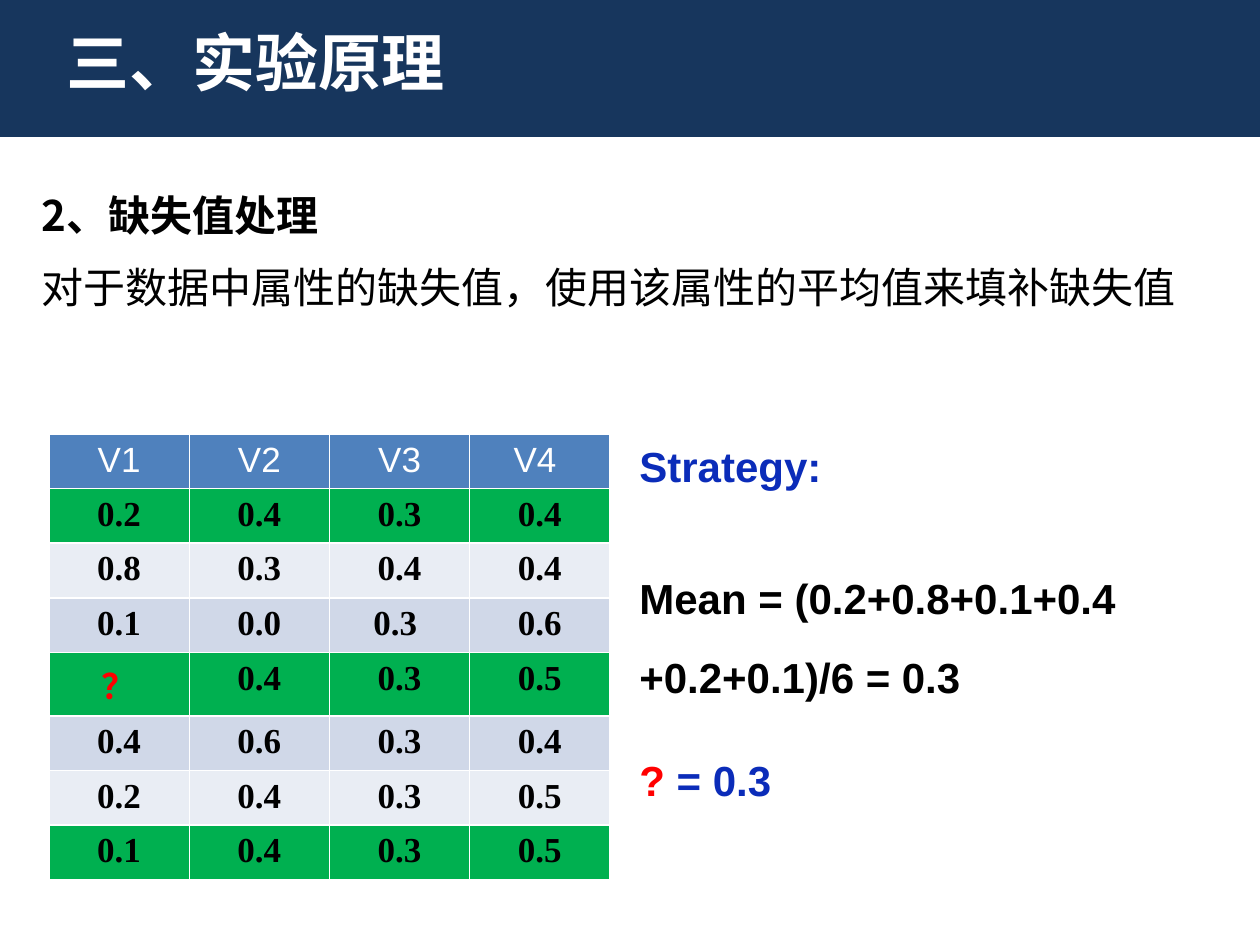
"""Build the slide on filling missing values with the attribute mean."""
from lxml.etree import SubElement
from pptx import Presentation
from pptx.dml.color import RGBColor
from pptx.enum.shapes import MSO_SHAPE
from pptx.enum.text import MSO_ANCHOR, MSO_AUTO_SIZE, PP_ALIGN
from pptx.oxml.ns import qn
from pptx.util import Emu, Pt

SCALE = 914400 / 126
CJK_FONT = "Noto Sans CJK SC"


def place(shape, *box):
    shape.left, shape.top, shape.width, shape.height = (Emu(round(length * SCALE)) for length in box)


def style(paragraph, name, size, color, bold):
    font = paragraph.font
    font.name, font.size, font.bold = name, Pt(size), bold
    font.color.rgb = RGBColor.from_string(color)
    properties = paragraph._p.pPr.find(qn("a:defRPr"))
    SubElement(properties, qn("a:ea")).set("typeface", CJK_FONT)


presentation = Presentation()
presentation.slide_width = Emu(round(1260 * SCALE))
presentation.slide_height = Emu(round(945 * SCALE))
slide = presentation.slides.add_slide(presentation.slide_layouts[1])
title, body = slide.placeholders

banner = slide.shapes.add_shape(MSO_SHAPE.RECTANGLE, 0, 0, 0, 0)
place(banner, 0, 0, 1260, 137)
banner.shadow.inherit = False
banner.fill.solid()
banner.fill.fore_color.rgb = RGBColor.from_string("17365D")
banner.line.fill.background()
title._element.addprevious(banner._element)

place(title, 54, 26, 1134, 117)
title.text_frame.text = "三、实验原理"
title.text_frame.vertical_anchor = MSO_ANCHOR.TOP
title.text_frame.auto_size = MSO_AUTO_SIZE.NONE
heading = title.text_frame.paragraphs[0]
heading.alignment = PP_ALIGN.LEFT
heading.line_spacing = 0.9
style(heading, CJK_FONT, 36, "FFFFFF", True)

place(body, 29, 171, 1196, 725)
body.text_frame.text = "2、缺失值处理\n对于数据中属性的缺失值，使用该属性的平均值来填补缺失值"
body.text_frame.auto_size = MSO_AUTO_SIZE.NONE
for paragraph, bold, space in zip(body.text_frame.paragraphs, (True, False), (0, 5)):
    paragraph.line_spacing = 1.25
    paragraph.space_before = Pt(space)
    properties = paragraph._p.get_or_add_pPr()
    properties.set("marL", "0")
    properties.set("indent", "0")
    SubElement(properties, qn("a:buNone"))
    style(paragraph, CJK_FONT, 24, "000000", bold)

rows = [
    ("4F81BD", ["V1", "V2", "V3", "V4 "]),
    ("00B050", ["0.2", "0.4", "0.3", "0.4"]),
    ("E9EDF4", ["0.8", "0.3", "0.4", "0.4"]),
    ("D0D8E8", ["0.1", "0.0", "0.3 ", "0.6"]),
    ("00B050", ["？", "0.4", "0.3", "0.5"]),
    ("D0D8E8", ["0.4", "0.6", "0.3", "0.4"]),
    ("E9EDF4", ["0.2", "0.4", "0.3", "0.5"]),
    ("00B050", ["0.1", "0.4", "0.3", "0.5"]),
]
left, top, width, height = (Emu(round(length * SCALE)) for length in (49, 434, 561, 437))
table = slide.shapes.add_table(len(rows), 4, left, top, width, height).table
for row_index, (fill, values) in enumerate(rows):
    for column_index, value in enumerate(values):
        cell = table.cell(row_index, column_index)
        cell.fill.solid()
        cell.fill.fore_color.rgb = RGBColor.from_string(fill)
        cell.text = value
        paragraph = cell.text_frame.paragraphs[0]
        paragraph.alignment = PP_ALIGN.CENTER
        if row_index == 0:
            style(paragraph, "Arial", 20, "FFFFFF", False)
        else:
            style(paragraph, "Times New Roman", 20, "FF0000" if value == "？" else "000000", True)

strategy = slide.shapes.add_textbox(0, 0, 0, 0)
place(strategy, 627, 434, 591, 369)
strategy.text_frame.word_wrap = True
strategy.text_frame.text = "Strategy:\nMean = (0.2+0.8+0.1+0.4 +0.2+0.1)/6 = 0.3\n?"
label, mean, result = strategy.text_frame.paragraphs
mean.line_spacing = 1.58
mean.space_before = result.space_before = Pt(30)
for paragraph, color in ((label, "0B2CB9"), (mean, "000000"), (result, "0B2CB9")):
    style(paragraph, "Arial", 24, color, True)
result.runs[0].font.color.rgb = RGBColor.from_string("FF0000")
result.add_run().text = " = 0.3"

presentation.save("out.pptx")
